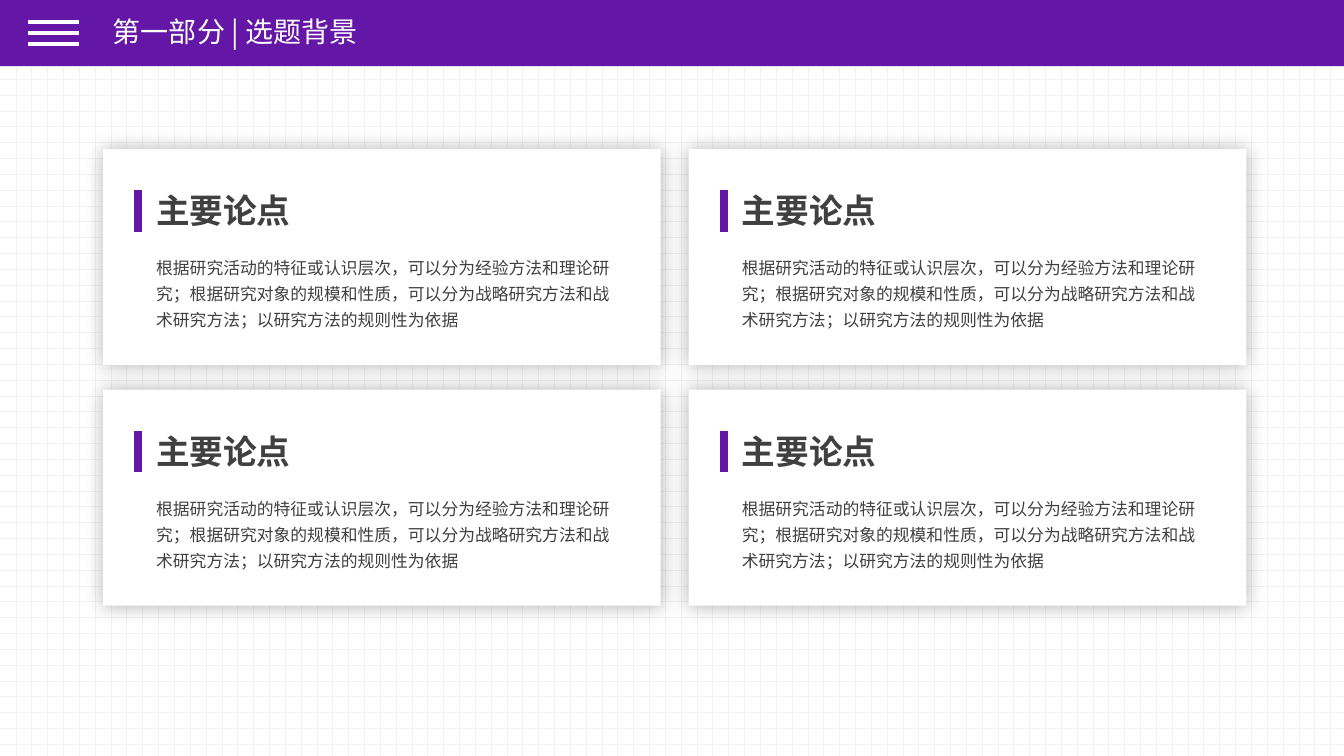
import dataclasses
import itertools

import lxml.etree
import pptx
import pptx.dml.color
import pptx.enum.dml
import pptx.enum.shapes
import pptx.enum.text
import pptx.oxml.ns
import pptx.util

WIDE = pptx.util.Inches(13.33)
HIGH = pptx.util.Inches(7.5)
COLS = ROWS = 100
HUES = {"brand": "6416A6", "paper": "FFFFFF", "grid": "F2F2F2",
        "ink": "404040", "shade": "000000"}
FONT = "Noto Sans CJK SC"
qn = pptx.oxml.ns.qn


@dataclasses.dataclass(frozen=True)
class Box:
    col: float
    row: float
    wide: float
    high: float

    def emu(self) -> tuple[int, int, int, int]:
        return (round(self.col * WIDE / COLS), round(self.row * HIGH / ROWS),
                round(self.wide * WIDE / COLS), round(self.high * HIGH / ROWS))

    def inner(self, col: float, row: float, wide: float, high: float) -> "Box":
        return Box(self.col + col, self.row + row, wide, high)


@dataclasses.dataclass(frozen=True)
class Card:
    box: Box
    head: str
    body: str


def rgb(hue: str) -> pptx.dml.color.RGBColor:
    return pptx.dml.color.RGBColor.from_string(HUES[hue])


def add_rect(shapes, box: Box, hue: str):
    rect = shapes.add_shape(pptx.enum.shapes.MSO_SHAPE.RECTANGLE, *box.emu())
    rect.fill.solid()
    rect.fill.fore_color.rgb = rgb(hue)
    rect.line.fill.background()
    rect.shadow.inherit = False
    return rect


def add_glow(rect) -> None:
    effects = rect._element.spPr.find(qn("a:effectLst"))
    glow = lxml.etree.SubElement(effects, qn("a:outerShdw"), algn="ctr", dist="0",
                                 blurRad=str(int(pptx.util.Pt(14))),
                                 rotWithShape="0")
    tone = lxml.etree.SubElement(glow, qn("a:srgbClr"), val=HUES["shade"])
    lxml.etree.SubElement(tone, qn("a:alpha"), val="30000")


def add_line(shapes, box: Box, hue: str, size: float) -> None:
    left, top, wide, high = box.emu()
    line = shapes.add_connector(pptx.enum.shapes.MSO_CONNECTOR.STRAIGHT,
                                left, top, left + wide, top + high)
    line.line.color.rgb = rgb(hue)
    line.line.width = pptx.util.Pt(size)
    lxml.etree.SubElement(line._element.spPr, qn("a:effectLst"))


def set_text(shape, text: str, size: float, hue: str, face: str = FONT,
             bold: bool = False, wrap: bool = True, space: float = 1.0):
    frame = shape.text_frame
    frame.text = text
    frame.word_wrap = wrap
    para = frame.paragraphs[0]
    para.alignment = pptx.enum.text.PP_ALIGN.LEFT
    para.line_spacing = space
    run = para.runs[0]
    run.font.size = pptx.util.Pt(size)
    run.font.bold = bold
    run.font.name = face
    run.font.color.rgb = rgb(hue)
    lxml.etree.SubElement(run.font._element, qn("a:ea"), typeface=FONT)
    return frame


def add_text(shapes, box: Box, text: str, size: float, **look) -> None:
    frame = set_text(shapes.add_textbox(*box.emu()), text, size, "ink", **look)
    frame.auto_size = pptx.enum.text.MSO_AUTO_SIZE.SHAPE_TO_FIT_TEXT


def add_card(slide, card: Card) -> None:
    shapes = slide.shapes.add_group_shape().shapes
    add_glow(add_rect(shapes, card.box, "paper"))
    add_text(shapes, card.box.inner(3.23, 4.75, 11.63, 6.67), card.head, 24,
             face="Roboto", bold=True, wrap=False)
    add_text(shapes, card.box.inner(3.23, 12.95, 36.23, 11.8), card.body, 12,
             space=1.3)
    add_line(shapes, card.box.inner(2.62, 5.5, 0, 5.45), "brand", 6)


def add_top(slide, text: str) -> None:
    add_rect(slide.shapes, Box(0, 0, COLS, 8.75), "brand")
    menu = slide.shapes.add_group_shape().shapes
    for step in range(3):
        add_line(menu, Box(2.1, 2.93 + 1.47 * step, 3.75, 0), "paper", 3)
    title = slide.shapes.title
    title.left, title.top, title.width, title.height = Box(
        7.65, 1.07, 84.7, 6.67).emu()
    frame = set_text(title, text, 20, "paper", space=0.9)
    frame.auto_size = pptx.enum.text.MSO_AUTO_SIZE.NONE
    frame.vertical_anchor = pptx.enum.text.MSO_ANCHOR.MIDDLE
    frame.paragraphs[0].space_before = pptx.util.Pt(10)
    slide.shapes._spTree.append(title._element)


def main() -> None:
    deck = pptx.Presentation()
    deck.slide_width, deck.slide_height = WIDE, HIGH
    slide = deck.slides.add_slide(deck.slide_layouts[5])
    fill = slide.background.fill
    fill.patterned()
    fill.pattern = pptx.enum.dml.MSO_PATTERN.DOTTED_GRID
    fill.fore_color.rgb = rgb("grid")
    fill.back_color.rgb = rgb("paper")
    add_top(slide, "第一部分 | 选题背景")
    body = ("根据研究活动的特征或认识层次，可以分为经验方法和理论研究；"
            "根据研究对象的规模和性质，可以分为战略研究方法和战术研究方法；"
            "以研究方法的规则性为依据")
    first = Box(7.65, 19.7, 41.5, 28.6)
    for row, col in itertools.product(range(2), repeat=2):
        box = first.inner(43.58 * col, 31.83 * row, first.wide, first.high)
        add_card(slide, Card(box, "主要论点", body))
    deck.save("out.pptx")


main()
